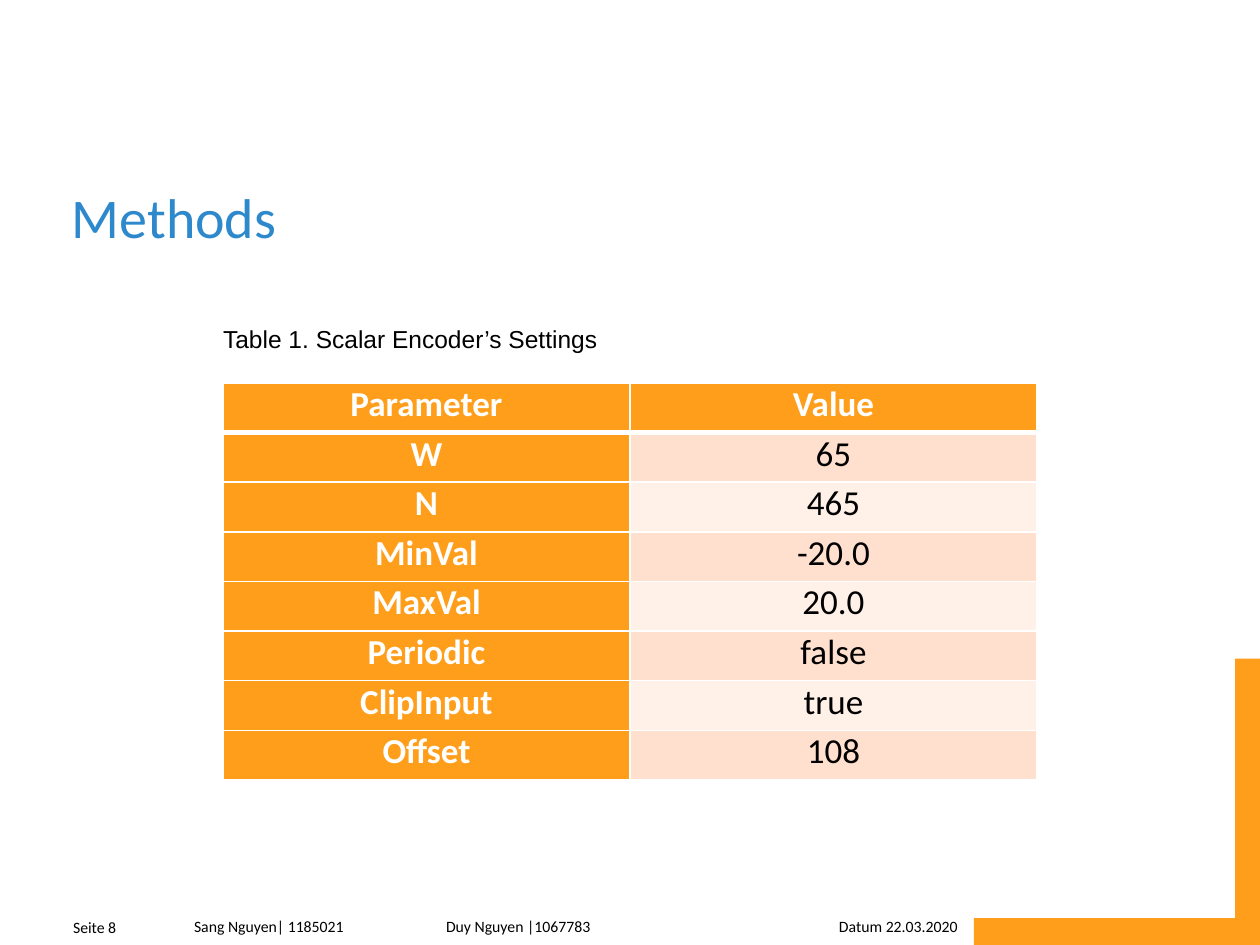
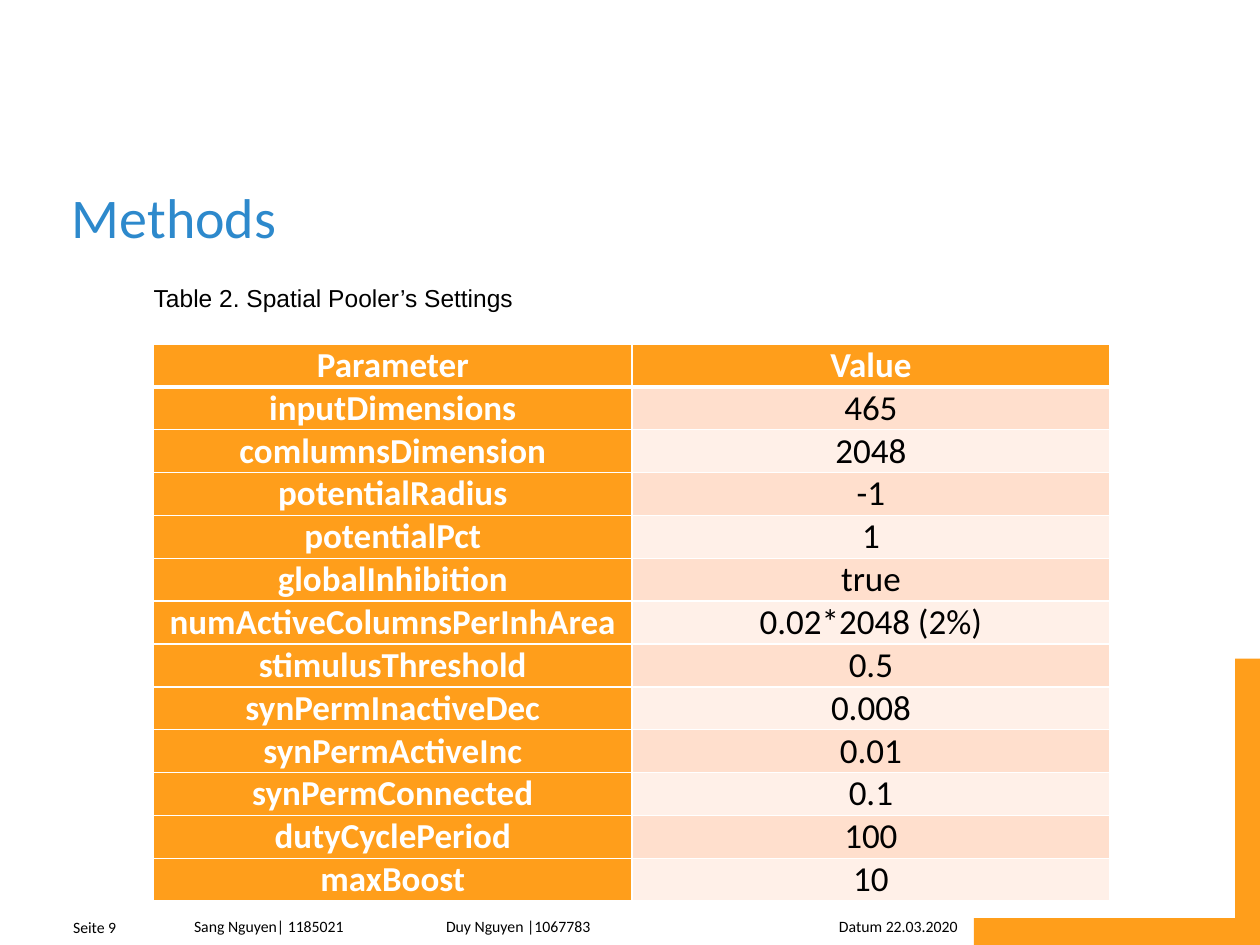
from lxml import etree
from pptx import Presentation
from pptx.dml.color import RGBColor
from pptx.enum.shapes import MSO_SHAPE
from pptx.enum.text import MSO_ANCHOR, PP_ALIGN
from pptx.oxml.ns import qn
from pptx.util import Inches, Pt

LEFT, CENTER, RIGHT = PP_ALIGN.LEFT, PP_ALIGN.CENTER, PP_ALIGN.RIGHT
TOP, BOTTOM = MSO_ANCHOR.TOP, MSO_ANCHOR.BOTTOM
CORNER = MSO_SHAPE.CORNER

COLORS = {
    "orange": "FF9E1B", "band_dark": "FFDFCD", "band_light": "FFF0E8",
    "title": "2D89CC", "text": "000000", "white": "FFFFFF",
}

prs = Presentation()
prs.slide_width, prs.slide_height = Inches(10), Inches(7.5)
COL, ROW = prs.slide_width / 100, prs.slide_height / 100  # 100 x 100 grid


def box(col, row, cols, rows):
    return int(col * COL), int(row * ROW), int(cols * COL), int(rows * ROW)


def write(tf, text, size=20, font="Calibri", color="text", bold=False,
          align=LEFT, anchor=TOP, wrap=True, spacing=None, tab=None):
    tf.word_wrap = wrap
    tf.vertical_anchor = anchor
    tf.margin_left = tf.margin_right = tf.margin_top = tf.margin_bottom = 0
    p = tf.paragraphs[0]
    p.alignment = align
    if spacing:
        p.line_spacing = spacing
    if tab:
        tabs = etree.SubElement(p._p.get_or_add_pPr(), qn("a:tabLst"))
        etree.SubElement(tabs, qn("a:tab"), pos=str(Inches(tab)), algn="l")
    r = p.add_run()
    r.text = text
    r.font.name, r.font.size, r.font.bold = font, Pt(size), bold
    r.font.color.rgb = RGBColor.from_string(COLORS[color])


# Slide content: caption and table places are in grid columns and rows
slides = [
    dict(page=8, caption="Table 1. Scalar Encoder’s Settings",
         left=17.7, caption_top=34.27, top=40.53, width=64.6, row_height=5.25,
         rows=[("W", "65"), ("N", "465"), ("MinVal", "-20.0"),
               ("MaxVal", "20.0"), ("Periodic", "false"),
               ("ClipInput", "true"), ("Offset", "108")]),
    dict(page=9, caption="Table 2. Spatial Pooler’s Settings",
         left=12.2, caption_top=30, top=36.4, width=75.9, row_height=4.54,
         rows=[("inputDimensions", "465"), ("comlumnsDimension", "2048"),
               ("potentialRadius", "-1"), ("potentialPct", "1"),
               ("globalInhibition", "true"),
               ("numActiveColumnsPerInhArea", "0.02*2048 (2%)"),
               ("stimulusThreshold", "0.5"), ("synPermInactiveDec", "0.008"),
               ("synPermActiveInc", "0.01"), ("synPermConnected", "0.1"),
               ("dutyCyclePeriod", "100"), ("maxBoost", "10")]),
]

for data in slides:
    s = prs.slides.add_slide(prs.slide_layouts[6])

    # Corner band
    sp = s.shapes.add_shape(CORNER, *box(77.3, 69.7, 22.8, 30.4))
    sp.adjustments[0], sp.adjustments[1] = 0.097, 0.091
    sp._element.spPr.find(qn("a:xfrm")).set("flipH", "1")
    sp.shadow.inherit = False
    sp.fill.solid()
    sp.fill.fore_color.rgb = RGBColor.from_string(COLORS["orange"])
    sp.line.fill.background()

    # Title, footer and caption
    footer = dict(size=9, anchor=BOTTOM)
    texts = [
        ("Methods", box(5.7, 16.8, 89.4, 9.73),
         dict(size=32, color="title", anchor=BOTTOM, spacing=0.9)),
        (f"Seite {data['page']}", box(5.8, 97.07, 3.8, 2),
         dict(footer, wrap=False)),
        ("Sang Nguyen| 1185021\tDuy Nguyen |1067783",
         box(15.4, 97.07, 39.4, 2), dict(footer, tab=2)),
        ("Datum 22.03.2020", box(56.3, 97.07, 19.7, 2),
         dict(footer, align=RIGHT)),
        (data["caption"], box(data["left"], data["caption_top"], 40.9, 3.2),
         dict(size=14, font="Arial")),
    ]
    for text, place, fmt in texts:
        write(s.shapes.add_textbox(*place).text_frame, text, **fmt)

    # Settings table
    rows = [("Parameter", "Value")] + data["rows"]
    place = box(data["left"], data["top"], data["width"],
                data["row_height"] * len(rows))
    table = s.shapes.add_table(len(rows), 2, *place).table
    table.first_col = True
    for i, row in enumerate(rows):
        table.rows[i].height = int(data["row_height"] * ROW)
        for j, text in enumerate(row):
            cell = table.cell(i, j)
            heading = i == 0 or j == 0
            write(cell.text_frame, text, bold=heading, align=CENTER,
                  color="white" if heading else "text")
            cell.margin_left = cell.margin_right = Inches(0.07)
            cell.margin_top = cell.margin_bottom = 0
            cell.vertical_anchor = TOP

            # White borders, thicker under the header
            tcPr = cell._tc.get_or_add_tcPr()
            widths = {"L": 1, "R": 1, "T": 3 if i == 1 else 1,
                      "B": 3 if i == 0 else 1}
            for side, width in widths.items():
                ln = etree.SubElement(tcPr, qn(f"a:ln{side}"), w=str(Pt(width)))
                fill = etree.SubElement(ln, qn("a:solidFill"))
                etree.SubElement(fill, qn("a:srgbClr"), val=COLORS["white"])

            band = "band_dark" if i % 2 else "band_light"
            cell.fill.solid()
            cell.fill.fore_color.rgb = RGBColor.from_string(
                COLORS["orange" if heading else band])

prs.save("out.pptx")
